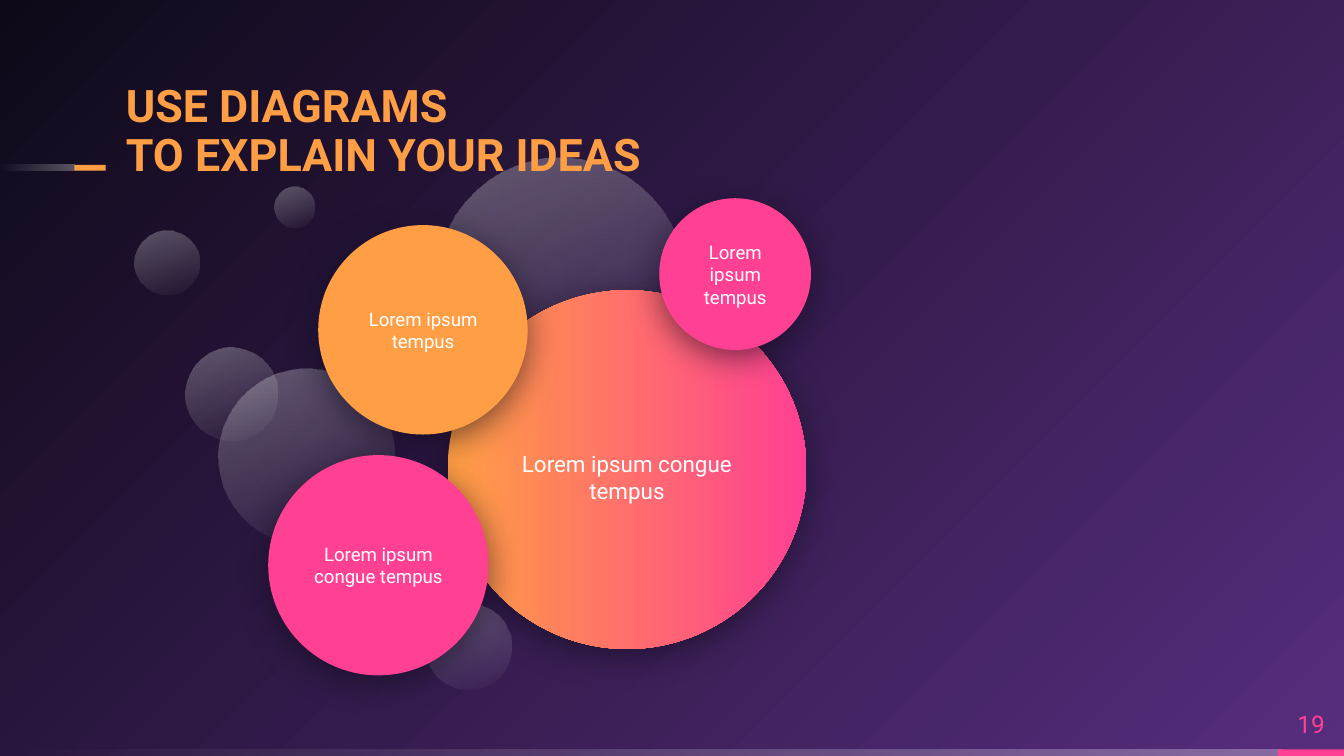
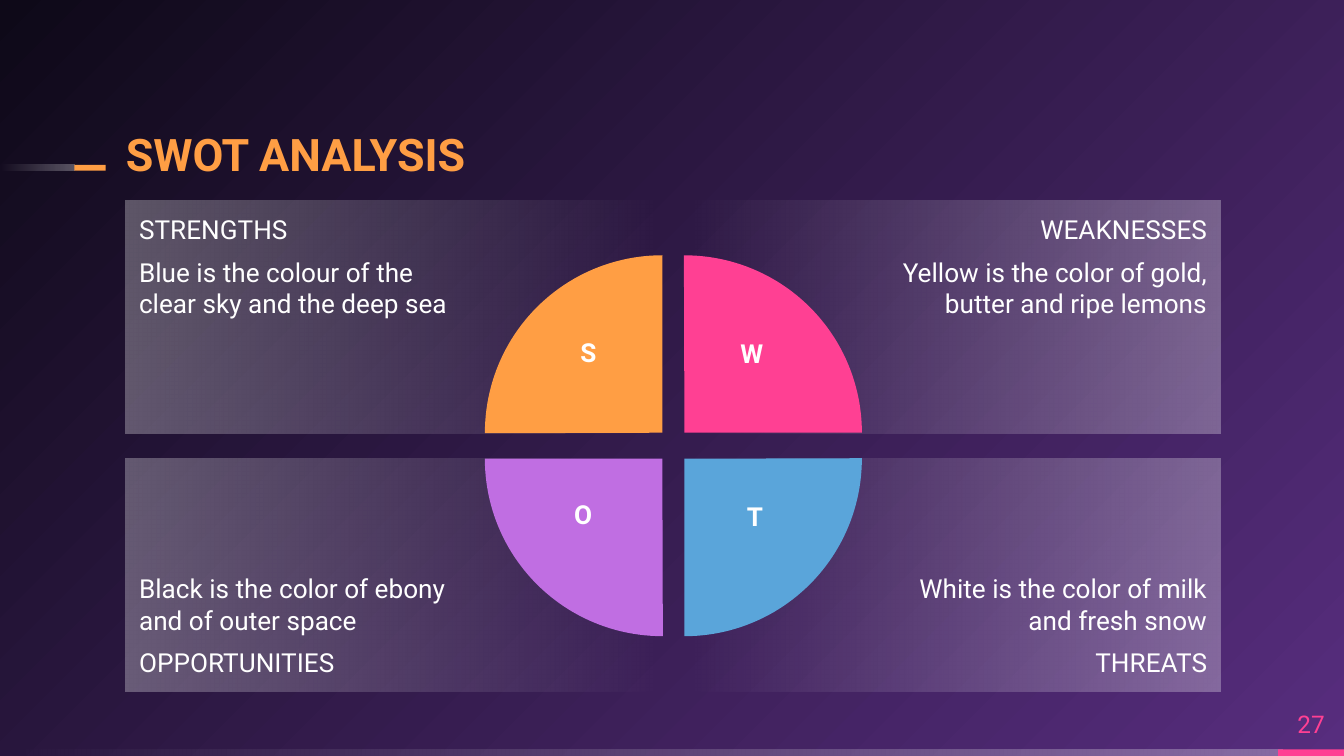
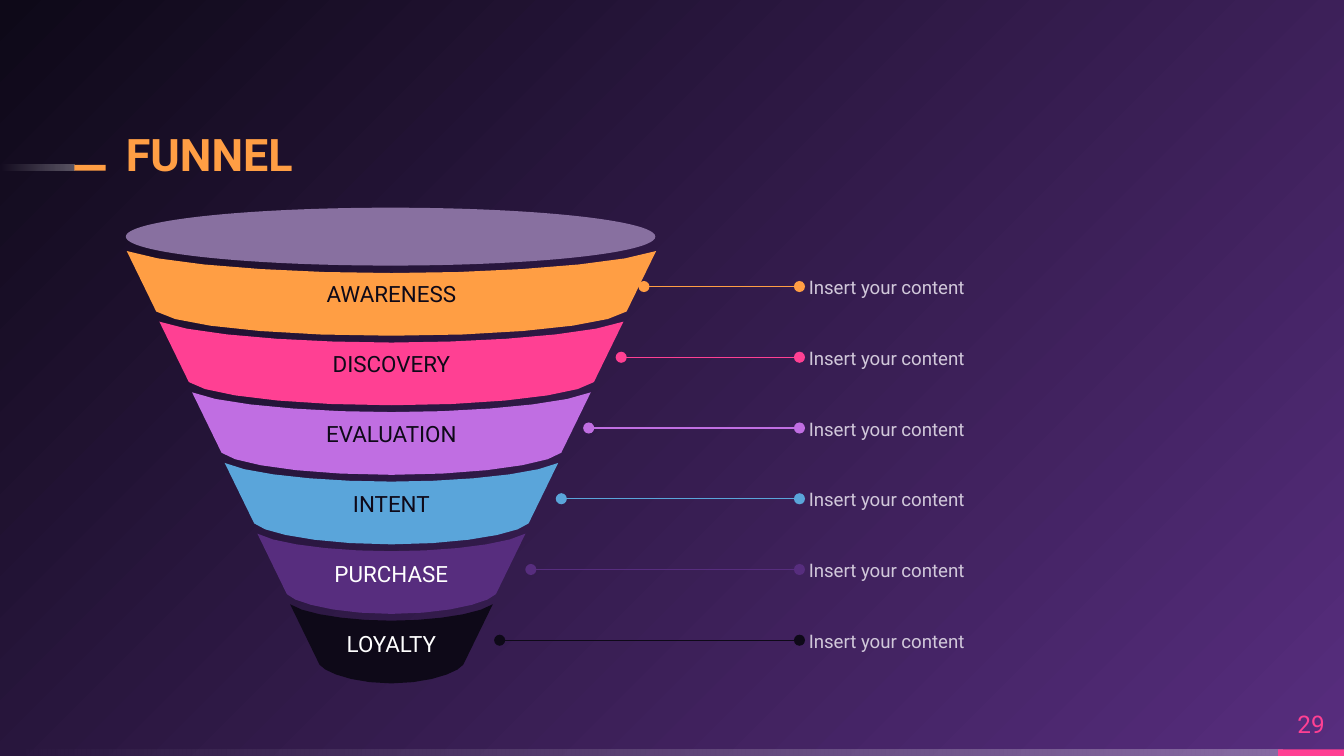
from pptx import Presentation
from pptx import util as u
from pptx.dml import color
from pptx.enum import shapes, text
from pptx.oxml import parse_xml
from pptx.oxml.ns import nsdecls, qn

FONT = "Roboto"
ORANGE, PINK, LILAC, BLUE = "FF9E44", "FF4093", "C06EE2", "5AA5DA"
PURPLE, DARK, WHITE, PALE, MAUVE = "572D7E", "0E0918", "FFFFFF", "D1C8DA", "8870A0"
GLASS = [(WHITE, 30), (WHITE, 0)]
LEFT, CENTER, RIGHT = text.PP_ALIGN.LEFT, text.PP_ALIGN.CENTER, text.PP_ALIGN.RIGHT
TOP, MIDDLE, BOTTOM = text.MSO_ANCHOR.TOP, text.MSO_ANCHOR.MIDDLE, text.MSO_ANCHOR.BOTTOM
RECT, OVAL, PIE = shapes.MSO_SHAPE.RECTANGLE, shapes.MSO_SHAPE.OVAL, shapes.MSO_SHAPE.PIE
MARGIN = 67.4


def rgb(value):
    return color.RGBColor.from_string(value)


def points(*values):
    return [u.Pt(value) for value in values]


def linear(angle):
    return f'<a:lin ang="{angle * 60000}" scaled="0"/>'


def fill_gradient(owner, fill, stops, shade):
    steps = "".join(
        f'<a:gs pos="{place * 100000}"><a:srgbClr val="{value}">'
        f'<a:alpha val="{opacity * 1000}"/></a:srgbClr></a:gs>'
        for place, (value, opacity) in enumerate(stops)
    )
    fill.solid()
    solid = owner.find(".//" + qn("a:solidFill"))
    solid.getparent().replace(solid, parse_xml(
        f'<a:gradFill {nsdecls("a")} rotWithShape="1"><a:gsLst>{steps}</a:gsLst>{shade}</a:gradFill>'))


def style(shape, fill, angle=0):
    shape.shadow.inherit = False
    shape.line.fill.background()
    if isinstance(fill, str):
        shape.fill.solid()
        shape.fill.fore_color.rgb = rgb(fill)
    else:
        fill_gradient(shape.element, shape.fill, fill, linear(angle))
    return shape


def add_shape(page, kind, frame, fill, angle=0, rotation=0):
    shape = page.shapes.add_shape(kind, *points(*frame))
    shape.rotation = rotation
    return style(shape, fill, angle)


def cast_shadow(shape):
    effects = shape.element.find(".//" + qn("a:effectLst"))
    effects.append(parse_xml(
        f'<a:outerShdw {nsdecls("a")} blurRad="{u.Pt(18)}" dist="{u.Pt(4)}" dir="5400000" '
        f'algn="bl" rotWithShape="0"><a:srgbClr val="{DARK}"><a:alpha val="55000"/>'
        '</a:srgbClr></a:outerShdw>'))


def write(shape, lines, size, fill, align=LEFT, anchor=TOP, insets=(0, 0, 0, 0), bold=False):
    frame = shape.text_frame
    frame.word_wrap = True
    frame.auto_size = text.MSO_AUTO_SIZE.NONE
    frame.vertical_anchor = anchor
    frame.margin_left, frame.margin_top, frame.margin_right, frame.margin_bottom = points(*insets)
    frame.text = "\n".join(lines)
    for para in frame.paragraphs:
        para.alignment = align
        para.font.name = FONT
        para.font.size = u.Pt(size)
        para.font.bold = bold
        para.font.color.rgb = rgb(fill)
    return frame.paragraphs


def add_text(page, frame, line, size, fill, **options):
    box = page.shapes.add_textbox(*points(*frame))
    write(box, [line], size, fill, **options)


def prepare_layout(layout):
    for holder in list(layout.placeholders):
        if holder.placeholder_format.idx:
            holder.element.getparent().remove(holder.element)
    fill_gradient(
        layout.element, layout.background.fill, [(PURPLE, 100), (DARK, 100)],
        '<a:path path="circle"><a:fillToRect l="100000" t="100000"/></a:path>')


def move_bands_to_layout(page):
    bands = [
        add_shape(page, RECT, (0, 401.4, 686.9, 3.6), GLASS, 180),
        add_shape(page, RECT, (684.7, 401.4, 35.3, 3.6), PINK),
        add_shape(page, RECT, (0, 88.3, 40, 3.1), GLASS, 180),
        add_shape(page, RECT, (39.8, 88.3, 16.8, 3.1), ORANGE),
    ]
    for band in bands:
        page.slide_layout.shapes.element.append(band.element)


def add_page(deck, layout, title, number):
    page = deck.slides.add_slide(layout)
    heading = page.shapes.title
    heading.left, heading.top, heading.width, heading.height = points(MARGIN, 65.9, 417.6, 31)
    para, = write(heading, [title], 24, ORANGE, anchor=BOTTOM, bold=True)
    para.line_spacing = 0.9
    add_text(page, (684.7, 374.1, 35.3, 27.4), number, 13, PINK, align=CENTER, anchor=MIDDLE)
    return page


def draw_circles(page):
    bubbles = [(228, 323.5, 46.1), (72, 123.3, 34.6), (117.1, 197.3, 94.3),
               (234, 84.2, 132.5), (99.2, 186.2, 49.7), (146.9, 100.1, 21.6)]
    for left, top, size in bubbles:
        add_shape(page, OVAL, (left, top, size, size), GLASS, 180, 250)
    circles = [
        (239.8, 155.5, 192.2, [(ORANGE, 100), (PINK, 100)],
         (262.5, 209.8, 146.9, 91.4), "Lorem ipsum congue tempus", 12),
        (170.5, 120.6, 112.2, ORANGE, (188.5, 139.7, 76.3, 74.2), "Lorem ipsum tempus", 10),
        (143.7, 243.8, 118, PINK, (160.6, 265.7, 84.2, 74.2), "Lorem ipsum congue tempus", 10),
        (353.2, 106.2, 81.3, PINK, (366.2, 119.9, 55.4, 54), "Lorem ipsum tempus", 10),
    ]
    for left, top, size, fill, label_frame, label, font_size in circles:
        cast_shadow(add_shape(page, OVAL, (left, top, size, size), fill))
        add_text(page, label_frame, label, font_size, WHITE,
                 align=CENTER, anchor=MIDDLE, insets=(7.2,) * 4)
    page.shapes.element.append(page.shapes.title.element)


def draw_swot(page):
    panels = [
        (0, 0, "STRENGTHS", "Blue is the colour of the clear sky and the deep sea"),
        (1, 0, "WEAKNESSES", "Yellow is the color of gold, butter and ripe lemons"),
        (0, 1, "OPPORTUNITIES", "Black is the color of ebony and of outer space"),
        (1, 1, "THREATS", "White is the color of milk and fresh snow"),
    ]
    for column, row, heading, body in panels:
        frame = (MARGIN + 299.1 * column, 107.3 + 138.2 * row, 287.3, 125)
        panel = add_shape(page, RECT, frame, GLASS, 180 * column)
        paras = write(panel, [body, heading] if row else [heading, body], 14, WHITE,
                      align=RIGHT if column else LEFT, anchor=BOTTOM if row else TOP,
                      insets=(108, 7.2, 7.2, 7.2) if column else (7.2, 7.2, 108, 7.2))
        paras[1].space_before = paras[1].space_after = u.Pt(6)

    quarters = [
        (0, 0, ORANGE, "S", (302.6, 176.4, 25.2, 34.6)),
        (1, 0, PINK, "W", (382.6, 177.1, 40.3, 33.8)),
        (1, 1, BLUE, "T", (391.5, 264.5, 25.9, 33.8)),
        (0, 1, LILAC, "O", (299.5, 263.5, 25.9, 35.3)),
    ]
    for turn, (column, row, fill, _, _) in enumerate(quarters):
        frame = (259.8 + 11.8 * column, 136.8 + 13.9 * row, 190.1, 190.1)
        quarter = add_shape(page, PIE, frame, fill, rotation=90 * turn)
        quarter.adjustments[0], quarter.adjustments[1] = 107.89, 162
    for _, _, _, letter, frame in quarters:
        add_text(page, frame, letter, 14, WHITE, align=CENTER,
                 insets=(7.2, 3.6, 7.2, 3.6), bold=True)


def curve(start, first, second, end, steps=5):
    for step in range(1, steps + 1):
        t = step / steps
        weights = ((1 - t) ** 3, 3 * t * (1 - t) ** 2, 3 * t * t * (1 - t), t ** 3)
        yield tuple(sum(weight * point[axis] for weight, point in
                        zip(weights, (start, first, second, end))) for axis in (0, 1))


def mirrored(half):
    return half + [(-x, y) for x, y in reversed(half[:-1])]


def add_funnel_band(page, index, label, fill, ink):
    center, top = 209.7, 134.5 + 37.85 * index
    rim = 141.8 - 17.5 * index
    base = rim - 15.8
    depth = 45.4 - 0.6 * index
    sag = depth - 33.6
    corner = (-base, 32.4)
    lower = [corner, *curve(corner, (-0.93 * base, depth - 6), (-0.53 * base, depth), (0, depth))]
    upper = [(rim, 0), *curve((rim, 0), (0.86 * rim, 0.6 * sag), (0.42 * rim, sag), (0, sag))]
    outline = [points(center + x, top + y) for x, y in mirrored(lower) + mirrored(upper)]
    builder = page.shapes.build_freeform(*outline[0])
    builder.add_line_segments(outline[1:], close=True)
    band = style(builder.convert_to_shape(), fill)
    write(band, [label], 12, ink, align=CENTER, anchor=MIDDLE, insets=(5, 2.9, 5, 2.9))


def add_dotted_end_line(page, start, end, y, fill):
    line = page.shapes.add_connector(shapes.MSO_CONNECTOR.STRAIGHT, *points(start, y, end, y))
    line.line.color.rgb = rgb(fill)
    line.line.width = u.Pt(0.75)
    stroke = line.element.find(".//" + qn("a:ln"))
    for end_name in ("headEnd", "tailEnd"):
        stroke.append(parse_xml(f'<a:{end_name} {nsdecls("a")} type="oval"/>'))
    stroke.addnext(parse_xml(f'<a:effectLst {nsdecls("a")}/>'))


def draw_funnel(page):
    stages = [
        ("AWARENESS", ORANGE, DARK, 345),
        ("DISCOVERY", PINK, DARK, 332.8),
        ("EVALUATION", LILAC, DARK, 315.4),
        ("INTENT", BLUE, DARK, 300.7),
        ("PURCHASE", PURPLE, WHITE, 284.4),
        ("LOYALTY", DARK, WHITE, 267.7),
    ]
    for index, (label, fill, ink, line_start) in enumerate(stages):
        add_funnel_band(page, index, label, fill, ink)
        y = 153.5 + 37.9 * index
        add_dotted_end_line(page, line_start, 428.3, y, fill)
        add_text(page, (433.3, y - 13.4, 219.6, 27.4), "Insert your content", 10, PALE,
                 anchor=MIDDLE)
    add_shape(page, OVAL, (MARGIN, 111.3, 283.7, 31), MAUVE)


def main():
    deck = Presentation()
    deck.slide_width, deck.slide_height = points(720, 405)
    layout = deck.slide_layouts[5]
    prepare_layout(layout)
    contents = [
        ("USE DIAGRAMS\vTO EXPLAIN YOUR IDEAS", "19", draw_circles),
        ("SWOT ANALYSIS", "27", draw_swot),
        ("FUNNEL", "29", draw_funnel),
    ]
    for title, number, draw in contents:
        draw(add_page(deck, layout, title, number))
    move_bands_to_layout(deck.slides[0])
    deck.save("out.pptx")


if __name__ == "__main__":
    main()
